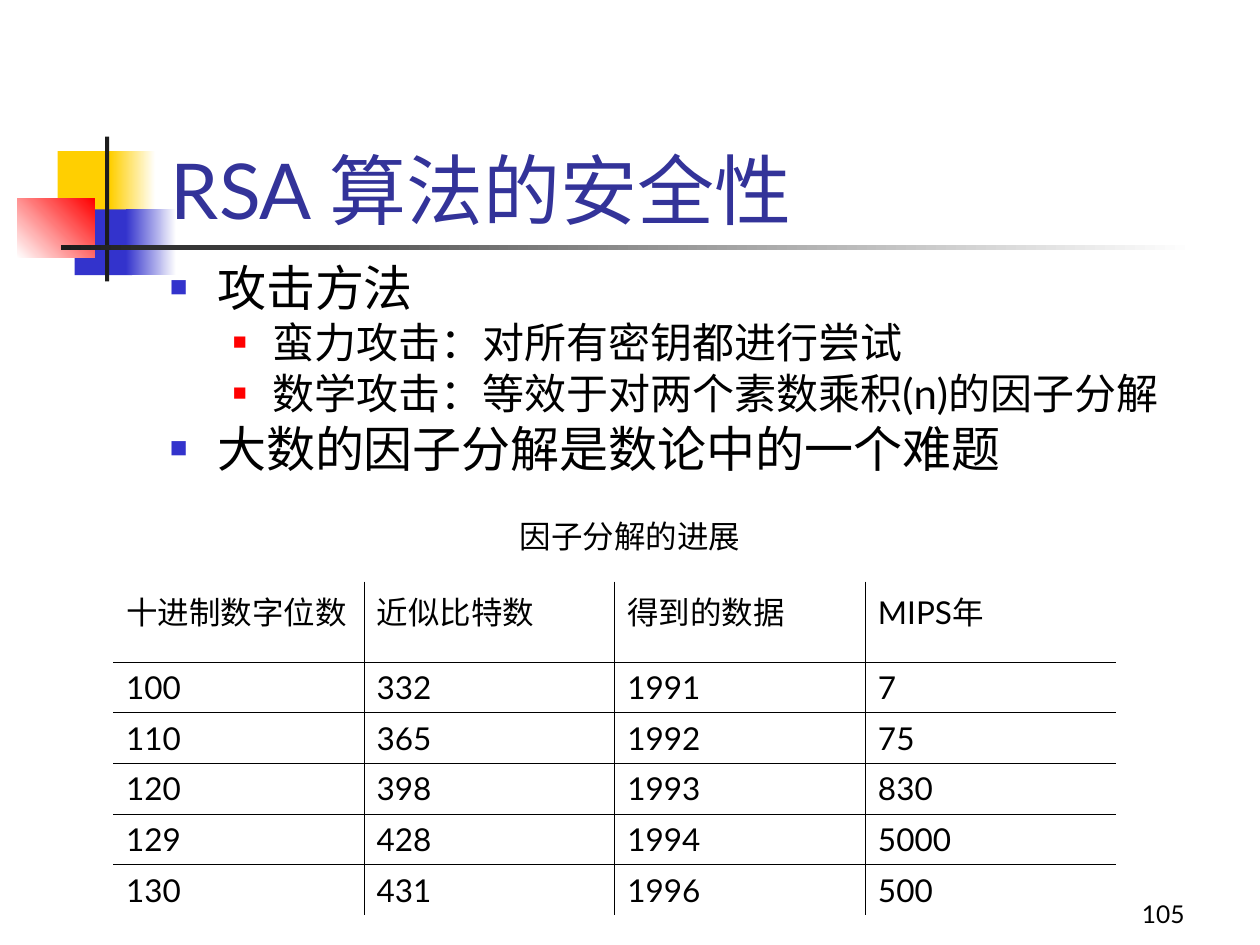
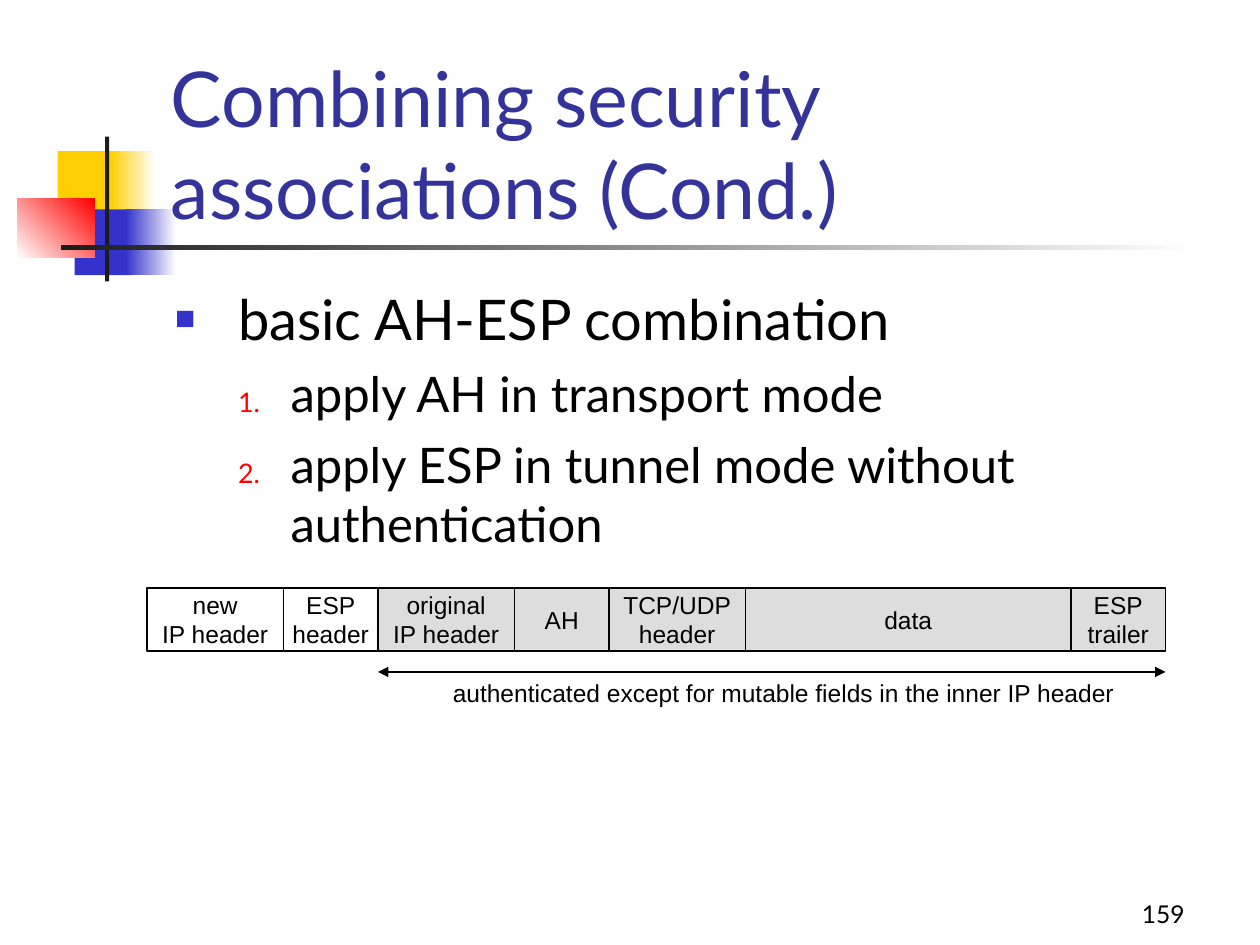
import pptx
import pptx.util
import pptx.dml.color
import pptx.enum.shapes
import pptx.enum.text
import pptx.oxml
import pptx.oxml.ns
import lxml.etree

ALIGN = pptx.enum.text.PP_ALIGN
ANCHOR = pptx.enum.text.MSO_ANCHOR
BLACK, WHITE, GRAY = "000000", "FFFFFF", "DDDDDD"
GOLD, BLUE, RED, DARK, NAVY = "FFCF01", "3333CC", "FF0000", "1C1C1C", "333399"
COLS, ROWS = 120, 90  # grid of the whole slide


def hue(code):
    return pptx.dml.color.RGBColor.from_string(code)


def add(node, tag, **attrs):
    return lxml.etree.SubElement(node, pptx.oxml.ns.qn(tag), attrs)


class Deck:
    face, plain = "Lato", "Arial"

    def __init__(self):
        self.show = pptx.Presentation()
        self.show.slide_width = pptx.util.Inches(10)
        self.show.slide_height = pptx.util.Inches(7.5)
        self.slide = None

    def x(self, col):
        return round(self.show.slide_width * col / COLS)

    def y(self, row):
        return round(self.show.slide_height * row / ROWS)

    def box(self, col, row, wide, high):
        return self.x(col), self.y(row), self.x(wide), self.y(high)

    def page(self, title, number):
        """Start a slide with the shared ornament, title and number."""
        self.slide = self.show.slides.add_slide(self.show.slide_layouts[6])
        self.rect((5.5, 14.4, 5.75, 6.25), GOLD)
        self.rect((10.5, 14.4, 4.3, 6.25), GOLD, WHITE)
        self.rect((7.1, 19.95, 5.5, 6.25), BLUE)
        self.rect((12, 19.95, 4.8, 6.25), BLUE, WHITE)
        self.rect((1.65, 18.95, 7.4, 5.6), WHITE, RED, angle=45)
        self.rect((10, 13, 0.4, 13.8), DARK)
        self.rect((5.8, 23.35, 108, 0.42), DARK, WHITE)
        self.text((89, 83, 25, 6), str(number), 14, align=ALIGN.RIGHT,
                  anchor=ANCHOR.BOTTOM)
        self.text((15.1, 8, 102.2, 15), title, 44, color=NAVY,
                  anchor=ANCHOR.BOTTOM)

    def rect(self, box, fill, end=None, angle=0, line=None):
        kind = pptx.enum.shapes.MSO_SHAPE.RECTANGLE
        shape = self.slide.shapes.add_shape(kind, *self.box(*box))
        shape.shadow.inherit = False
        if end:
            shape.fill.gradient()
            shape.fill.gradient_angle = angle
            for stop, code in zip(shape.fill.gradient_stops, (fill, end)):
                stop.color.rgb = hue(code)
        else:
            shape.fill.solid()
            shape.fill.fore_color.rgb = hue(fill)
        if line:
            shape.line.color.rgb = hue(line)
            shape.line.width = pptx.util.Pt(0.75)
        else:
            shape.line.fill.background()
        return shape

    def style(self, para, size, color=BLACK, face=None, align=ALIGN.LEFT):
        para.alignment = align
        for run in para.runs:
            run.font.size = pptx.util.Pt(size)
            run.font.name = face or self.face
            run.font.color.rgb = hue(color)

    def text(self, box, words, size, color=BLACK, face=None, align=ALIGN.LEFT,
             anchor=ANCHOR.TOP, wrap=True):
        frame = self.slide.shapes.add_textbox(*self.box(*box)).text_frame
        frame.word_wrap = wrap
        frame.vertical_anchor = anchor
        frame.text = words
        for para in frame.paragraphs:
            self.style(para, size, color, face, align)

    def cell(self, box, words, fill):
        """Draw one field of a packet."""
        shape = self.rect(box, fill, line=BLACK)
        frame = shape.text_frame
        frame.word_wrap = False
        frame.vertical_anchor = ANCHOR.MIDDLE
        frame.text = words
        for para in frame.paragraphs:
            self.style(para, 14, face=self.plain, align=ALIGN.CENTER)

    def list(self, box, items, sizes, marks, gaps, lead=None, count=False):
        """Items are (level, words); marks hold (margin, hang) in columns."""
        frame = self.slide.shapes.add_textbox(*self.box(*box)).text_frame
        frame.word_wrap = True
        frame.text = "\n".join(words for _, words in items)
        for spot, (para, (level, _)) in enumerate(zip(frame.paragraphs, items)):
            para.level = level
            if lead:
                para.line_spacing = lead
            if spot:
                para.space_before = pptx.util.Pt(gaps[level])
            margin, hang = marks[level]
            props = para._p.get_or_add_pPr()
            props.set("marL", str(self.x(margin)))
            props.set("indent", str(-self.x(hang)))
            add(add(props, "a:buClr"), "a:srgbClr", val=(BLUE, RED)[level])
            add(props, "a:buSzPct", val=("60000", "55000")[level])
            if count and level:
                add(props, "a:buFont", typeface=self.face)
                add(props, "a:buAutoNum", type="arabicPeriod")
            else:
                add(props, "a:buFont", typeface=self.plain)
                add(props, "a:buChar", char="■")
            self.style(para, sizes[level])

    def edge(self, cell, sides):
        """Draw the named sides of a table cell and clear the others."""
        props = cell._tc.get_or_add_tcPr()
        for side in "LRTB":
            line = add(props, "a:ln" + side, w=str(pptx.util.Pt(0.45)))
            if side in sides:
                add(add(line, "a:solidFill"), "a:srgbClr", val=BLACK)
            else:
                add(line, "a:noFill")

    def table(self, box, data, head, row):
        high, wide = len(data), len(data[0])
        grid = self.slide.shapes.add_table(high, wide, *self.box(*box)).table
        grid.first_row = grid.horz_banding = False
        for r, line in enumerate(data):
            grid.rows[r].height = self.y(row if r else head)
            for c, words in enumerate(line):
                cell = grid.cell(r, c)
                inner = {"L": c > 0, "R": c < wide - 1,
                         "T": r > 0, "B": r < high - 1}
                self.edge(cell, [side for side in inner if inner[side]])
                cell.fill.background()
                cell.text_frame.text = words
                self.style(cell.text_frame.paragraphs[0], 18)

    def arrow(self, left, right, row):
        """Draw a level line with a head at both ends."""
        kind = pptx.enum.shapes.MSO_CONNECTOR.STRAIGHT
        link = self.slide.shapes.add_connector(
            kind, self.x(left), self.y(row), self.x(right), self.y(row))
        link.line.color.rgb = hue(BLACK)
        link.line.width = pptx.util.Pt(0.75)
        line = link.line._get_or_add_ln()
        add(line, "a:headEnd", type="triangle")
        add(line, "a:tailEnd", type="triangle")
        add(link._element.spPr, "a:effectLst")


def rsa(deck):
    deck.page("RSA 算法的安全性", 105)
    deck.list((15, 25, 100, 23), [
        (0, "攻击方法"),
        (1, "蛮力攻击：对所有密钥都进行尝试"),
        (1, "数学攻击：等效于对两个素数乘积(n)的因子分解"),
        (0, "大数的因子分解是数论中的一个难题"),
    ], sizes=(28, 24), marks=((4.5, 4.5), (9.75, 3.75)), gaps=(7, 6), lead=0.8)
    # Progress of factoring
    deck.table((10.8, 55.4, 95.5, 31.8), [
        ("十进制数字位数", "近似比特数", "得到的数据", "MIPS年"),
        ("100", "332", "1991", "7"),
        ("110", "365", "1992", "75"),
        ("120", "398", "1993", "830"),
        ("129", "428", "1994", "5000"),
        ("130", "431", "1996", "500"),
    ], head=7.65, row=4.83)
    deck.text((28.8, 48.7, 62.4, 4.8), "因子分解的进展", 18, face=deck.plain,
              align=ALIGN.CENTER)


def combine(deck):
    deck.page("Combining security associations (Cond.)", 159)
    deck.list((15.5, 26.5, 102, 42.2), [
        (0, "basic AH-ESP combination"),
        (1, "apply AH in transport mode"),
        (1, "apply ESP in tunnel mode without authentication"),
    ], sizes=(32, 28), marks=((6, 6), (11, 5)), gaps=(8, 7), count=True)
    # Packet fields, side by side
    col = 14
    for words, wide, fill in [
        ("new\nIP header", 13, WHITE),
        ("ESP\nheader", 9, WHITE),
        ("original\nIP header", 13, GRAY),
        ("AH", 9, GRAY),
        ("TCP/UDP\nheader", 13, GRAY),
        ("data", 31, GRAY),
        ("ESP\ntrailer", 9, GRAY),
    ]:
        deck.cell((col, 56, wide, 6), words, fill)
        col += wide
    # Span of the authenticated fields
    deck.arrow(36, col, 64)
    deck.text((41.9, 64, 65.5, 4.1),
              "authenticated except for mutable fields in the inner IP header",
              14, face=deck.plain, align=ALIGN.CENTER, wrap=False)


def main():
    deck = Deck()
    rsa(deck)
    combine(deck)
    deck.show.save("out.pptx")


if __name__ == "__main__":
    main()
